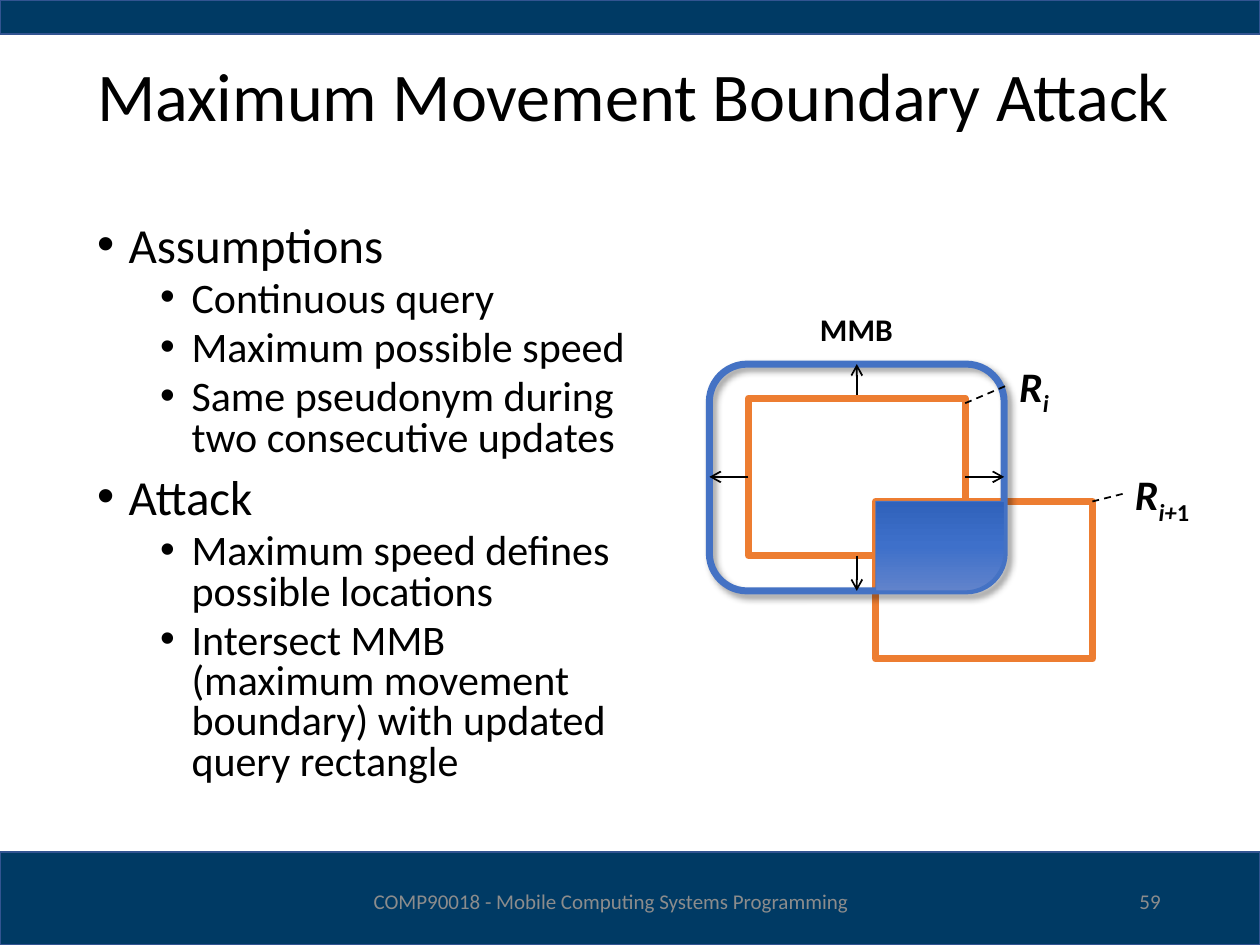
from dataclasses import dataclass

from lxml import etree
from pptx import Presentation
from pptx.dml.color import RGBColor
from pptx.enum.dml import MSO_LINE
from pptx.enum.shapes import MSO_CONNECTOR, MSO_SHAPE
from pptx.enum.text import MSO_ANCHOR, MSO_AUTO_SIZE, PP_ALIGN
from pptx.oxml import parse_xml
from pptx.oxml.ns import nsdecls, qn
from pptx.util import Pt

RECTANGLE = MSO_SHAPE.RECTANGLE
ROUNDED = MSO_SHAPE.ROUNDED_RECTANGLE
ONE_ROUND_CORNER = MSO_SHAPE.ROUND_1_RECTANGLE
STRAIGHT = MSO_CONNECTOR.STRAIGHT
DASH = MSO_LINE.DASH
TOP, MIDDLE = MSO_ANCHOR.TOP, MSO_ANCHOR.MIDDLE
LEFT, CENTER, RIGHT = PP_ALIGN.LEFT, PP_ALIGN.CENTER, PP_ALIGN.RIGHT
NO_AUTOFIT = MSO_AUTO_SIZE.NONE


@dataclass(frozen=True)
class Theme:
    font: str = "Calibri"
    text: str = "000000"
    footer: str = "8C8C8C"
    bar: str = "003A64"
    bar_line: str = "325491"
    query: str = "ED7D31"
    boundary: str = "4472C4"
    gradient: tuple = ((0, "6183CB"), (50, "3E70CA"), (100, "3062BB"))
    title_size: int = 39
    list_sizes: tuple = (28, 24)
    symbol_size: int = 24
    label_size: int = 18
    footer_size: int = 12


@dataclass(frozen=True)
class Box:
    left: float
    top: float
    width: float
    height: float

    @property
    def right(self):
        return self.left + self.width

    @property
    def bottom(self):
        return self.top + self.height

    def lengths(self):
        return [Pt(v) for v in (self.left, self.top, self.width, self.height)]


def apply_format(target, values):
    for name, value in values.items():
        setattr(target, name, value)


class SlideBuilder:
    def __init__(self, slide, theme):
        self.slide = slide
        self.theme = theme

    def add_run(self, paragraph, text, size, color=None, baseline=0, **font_format):
        run = paragraph.add_run()
        run.text = text
        apply_format(run.font, {"name": self.theme.font, "size": Pt(size), **font_format})
        run.font.color.rgb = RGBColor.from_string(color or self.theme.text)
        if baseline:
            run._r.get_or_add_rPr().set("baseline", str(baseline * 1000))

    def place(self, placeholder, box, anchor):
        names = ("left", "top", "width", "height")
        apply_format(placeholder, dict(zip(names, box.lengths())))
        apply_format(placeholder.text_frame, {
            "word_wrap": True, "auto_size": NO_AUTOFIT, "vertical_anchor": anchor})
        return placeholder.text_frame

    def title(self, text, box):
        paragraph = self.place(self.slide.shapes.title, box, MIDDLE).paragraphs[0]
        apply_format(paragraph, {"alignment": LEFT, "line_spacing": 0.9})
        self.add_run(paragraph, text, self.theme.title_size)

    def bullets(self, items, box):
        frame = self.place(self.slide.placeholders[1], box, TOP)
        for index, (level, text) in enumerate(items):
            paragraph = frame.add_paragraph() if index else frame.paragraphs[0]
            apply_format(paragraph, {
                "level": level, "alignment": LEFT, "line_spacing": 0.8,
                "space_before": Pt((10, 5)[level]), "space_after": Pt(0)})
            properties = paragraph._p.get_or_add_pPr()
            properties.set("marL", str(Pt((18, 54)[level])))
            properties.set("indent", str(Pt(-18)))
            etree.SubElement(properties, qn("a:buFont")).set("typeface", "Arial")
            etree.SubElement(properties, qn("a:buChar")).set("char", "•")
            self.add_run(paragraph, text, self.theme.list_sizes[level])

    def shape(self, kind, box, line, width, fill=None):
        shape = self.slide.shapes.add_shape(kind, *box.lengths())
        shape.shadow.inherit = False
        shape.line.color.rgb = RGBColor.from_string(line)
        shape.line.width = Pt(width)
        if fill:
            shape.fill.solid()
            shape.fill.fore_color.rgb = RGBColor.from_string(fill)
        else:
            shape.fill.background()
        return shape

    def drop_shadow(self, shape):
        effects = shape._element.spPr.find(qn("a:effectLst"))
        effects.append(parse_xml(
            f'<a:outerShdw {nsdecls("a")} blurRad="{Pt(4)}" dist="{Pt(3)}" dir="2700000"'
            ' algn="tl" rotWithShape="0"><a:srgbClr val="000000">'
            '<a:alpha val="40000"/></a:srgbClr></a:outerShdw>'))

    def gradient(self, shape):
        stops = "".join(
            f'<a:gs pos="{position * 1000}"><a:srgbClr val="{color}"/></a:gs>'
            for position, color in self.theme.gradient)
        properties = shape._element.spPr
        properties.replace(properties.find(qn("a:noFill")), parse_xml(
            f'<a:gradFill {nsdecls("a")} rotWithShape="1"><a:gsLst>{stops}</a:gsLst>'
            '<a:lin ang="5400000" scaled="0"/></a:gradFill>'))

    def line(self, start, end, arrow=False):
        connector = self.slide.shapes.add_connector(
            STRAIGHT, *[Pt(value) for value in (*start, *end)])
        connector.line.color.rgb = RGBColor.from_string(self.theme.text)
        connector.line.width = Pt(1)
        if arrow:
            outline = connector.line._get_or_add_ln()
            etree.SubElement(outline, qn("a:tailEnd")).set("type", "arrow")
        else:
            connector.line.dash_style = DASH
        etree.SubElement(connector._element.spPr, qn("a:effectLst"))

    def text(self, box, runs, size, color=None, align=LEFT, anchor=TOP, wrap=False):
        frame = self.slide.shapes.add_textbox(*box.lengths()).text_frame
        apply_format(frame, {"word_wrap": wrap, "vertical_anchor": anchor})
        paragraph = frame.paragraphs[0]
        paragraph.alignment = align
        for text, run_format in runs:
            self.add_run(paragraph, text, size, color, **run_format)


def main():
    presentation = Presentation()
    apply_format(presentation, {"slide_width": Pt(720), "slide_height": Pt(540)})
    theme = Theme()
    slide = presentation.slides.add_slide(presentation.slide_layouts[1])
    builder = SlideBuilder(slide, theme)

    # Bars at the bottom and top
    for bar in (Box(0, 486.72, 720, 53.28), Box(0, 0, 720, 19.44)):
        builder.shape(RECTANGLE, bar, theme.bar_line, 1, theme.bar)

    # Title and list
    builder.title("Maximum Movement Boundary Attack", Box(48.24, 18, 648, 77.76))
    builder.bullets([
        (0, "Assumptions"),
        (1, "Continuous query"),
        (1, "Maximum possible speed"),
        (1, "Same pseudonym during two consecutive updates"),
        (0, "Attack"),
        (1, "Maximum speed defines possible locations"),
        (1, "Intersect MMB (maximum movement boundary) with updated query rectangle"),
    ], Box(48.24, 125.28, 323.28, 360))

    # Query rectangles and movement boundary
    current = Box(427.68, 227.52, 123.84, 90)
    updated = Box(500.4, 286.56, 123.84, 90)
    boundary = Box(405.36, 208.08, 168.48, 129.6)
    for query in (updated, current):
        builder.shape(RECTANGLE, query, theme.query, 4)
    builder.drop_shadow(builder.shape(ROUNDED, boundary, theme.boundary, 4))

    # Dashed leaders to the labels
    builder.line((current.right, 230.4), (575.28, 220.32))
    builder.line((641.52, 282.24), (updated.right, updated.top))

    # Intersection of the boundary and the updated rectangle
    overlap = Box(updated.left, updated.top,
                  boundary.right - updated.left, boundary.bottom - updated.top)
    intersection = builder.shape(ONE_ROUND_CORNER, overlap, theme.boundary, 0.5)
    intersection.adjustments[0] = 0.44
    intersection._element.spPr.find(qn("a:xfrm")).set("flipV", "1")
    builder.gradient(intersection)

    # Rectangle labels
    symbol = {"bold": True, "italic": True}
    subscript = {**symbol, "baseline": -25}
    builder.text(Box(575.28, 202.32, 36.72, 36), [("R", symbol), ("i", subscript)],
                 theme.symbol_size)
    builder.text(Box(641.52, 264.24, 50.4, 36),
                 [("R", symbol), ("i+", subscript), ("1", {**subscript, "italic": False})],
                 theme.symbol_size)

    # Arrows from the current rectangle out to the boundary
    center_x = current.left + current.width / 2
    center_y = current.top + current.height / 2
    for start, end in (
        ((center_x, current.top - 2), (center_x, boundary.top)),
        ((current.left, center_y), (boundary.left, center_y)),
        ((current.right, center_y), (boundary.right, center_y)),
        ((center_x, current.bottom), (center_x, boundary.bottom)),
    ):
        builder.line(start, end, arrow=True)
    builder.text(Box(461.52, 173.52, 57.6, 28.8), [("MMB", {"bold": True})], theme.label_size)

    # Footer and slide number
    for box, text, align in (
        (Box(189.36, 500.4, 319.68, 28.8),
         "COMP90018 - Mobile Computing Systems Programming", CENTER),
        (Box(508.32, 500.4, 162, 28.8), "59", RIGHT),
    ):
        builder.text(box, [(text, {})], theme.footer_size, theme.footer, align, MIDDLE, True)

    presentation.save("out.pptx")


if __name__ == "__main__":
    main()
